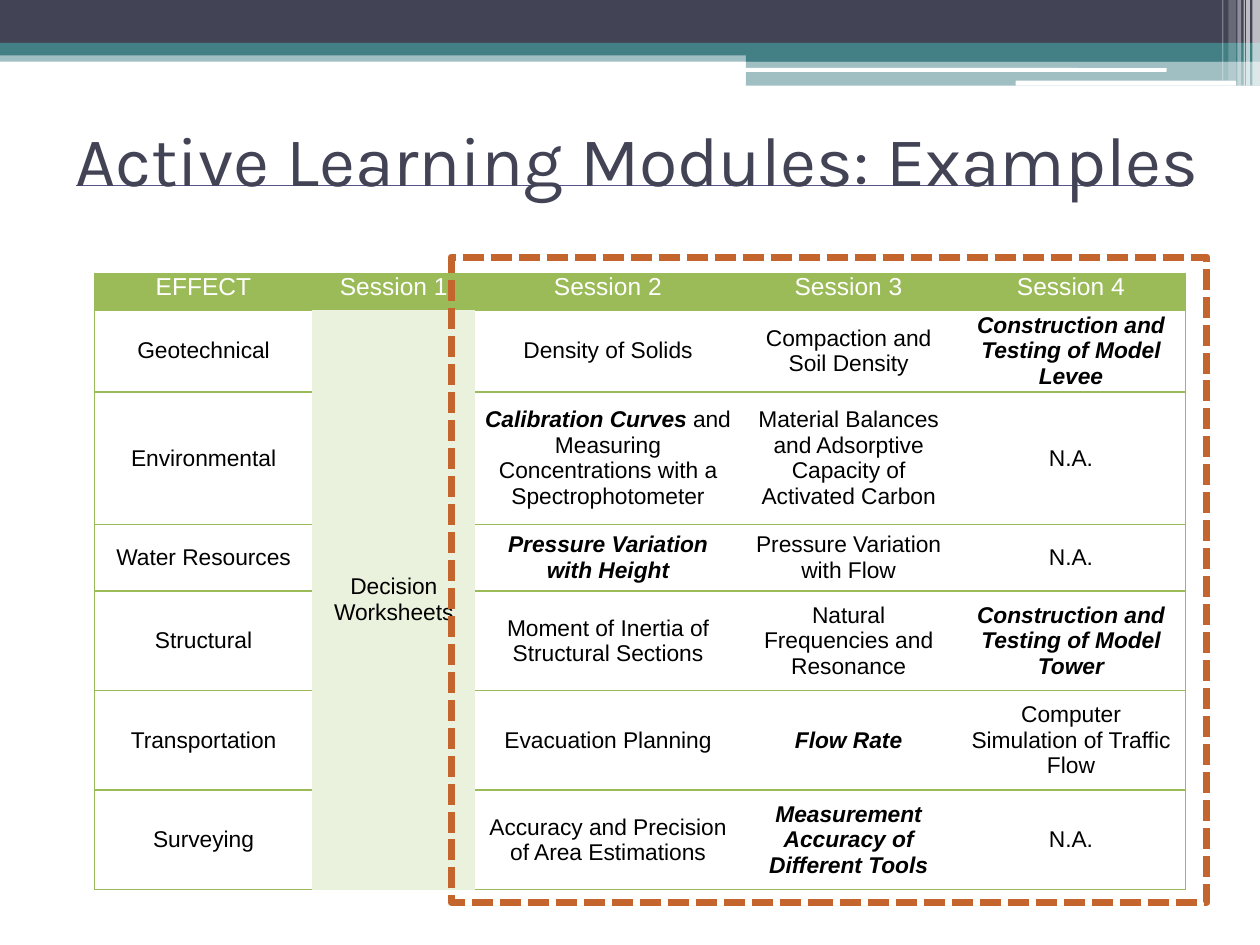
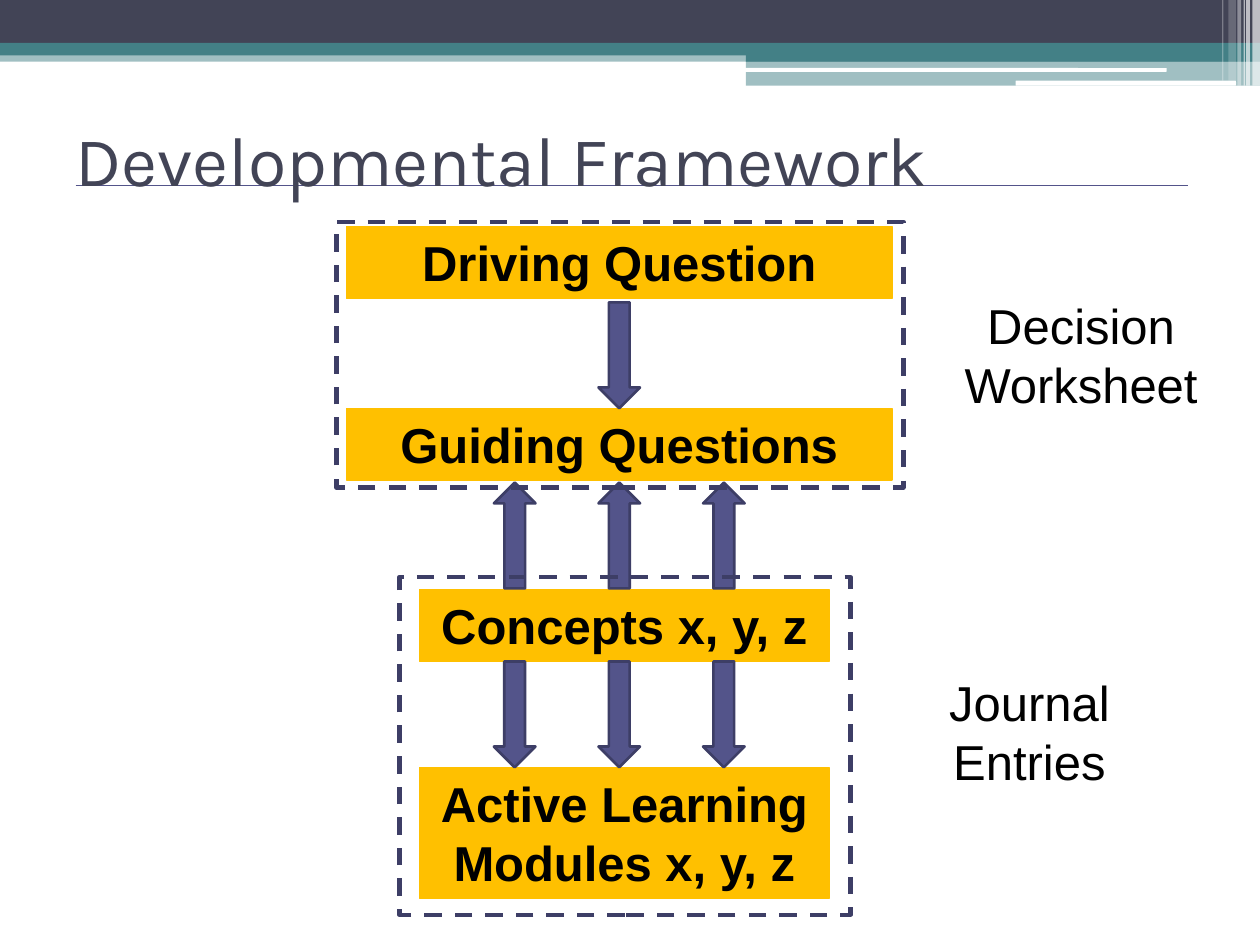
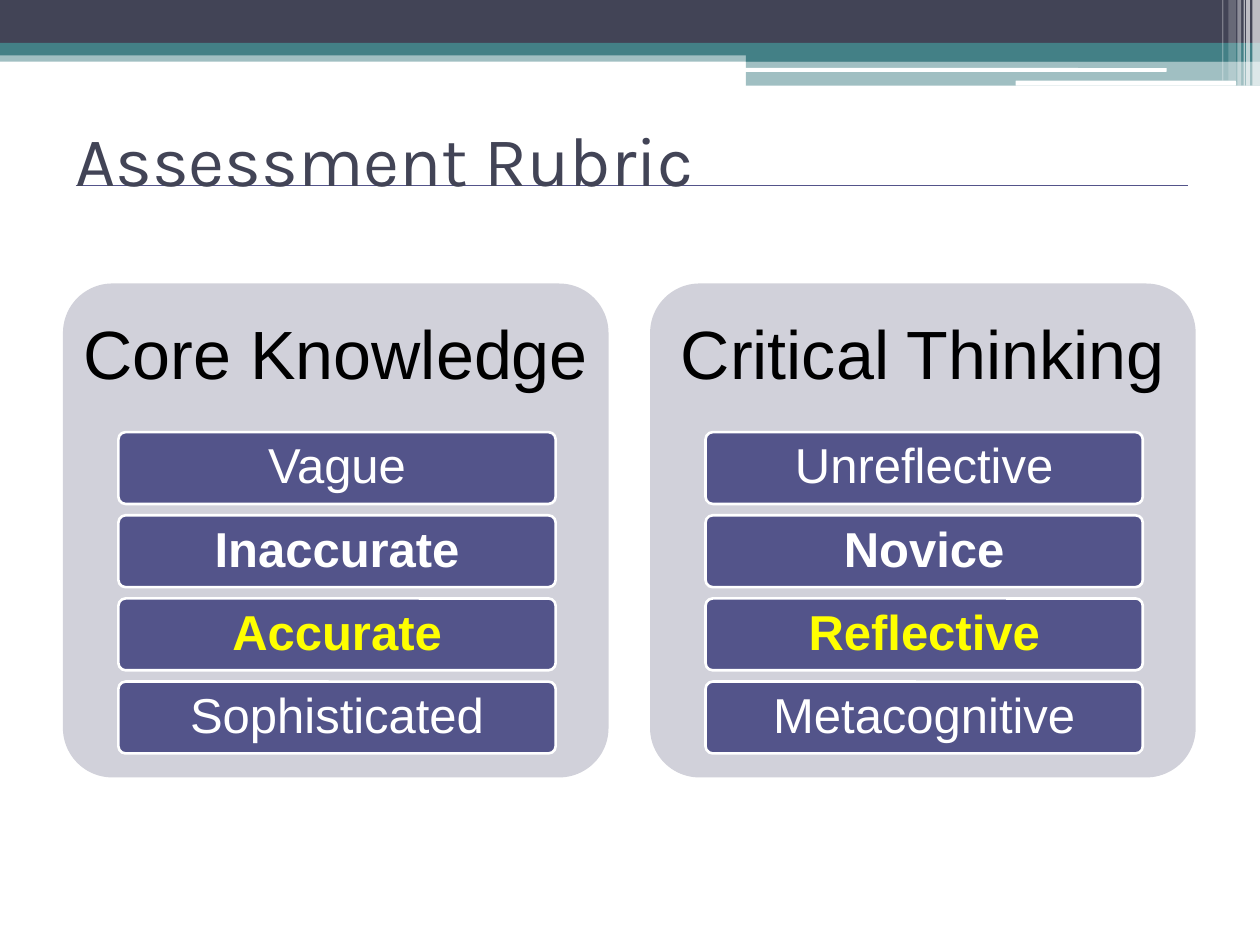
from pptx import Presentation
from pptx import util as u
from pptx.dml.color import RGBColor
from pptx.enum import dml, shapes, text
from pptx.oxml.ns import qn
from lxml import etree

WHITE = RGBColor(0xFF, 0xFF, 0xFF)
BLACK = RGBColor(0, 0, 0)
SLATE = RGBColor(0x42, 0x44, 0x56)
TEAL = RGBColor(0x43, 0x80, 0x86)
INDIGO = RGBColor(0x53, 0x54, 0x8A)
DARK_INDIGO = RGBColor(0x3D, 0x3E, 0x66)
LAVENDER = RGBColor(0xD1, 0xD1, 0xDA)
GREEN = RGBColor(0x9B, 0xBB, 0x59)
PALE_GREEN = RGBColor(0xEA, 0xF1, 0xDD)
RUST = RGBColor(0xC4, 0x65, 0x2D)
GOLD = RGBColor(0xFF, 0xC0, 0x00)
YELLOW = RGBColor(0xFF, 0xFF, 0x00)

RECT = shapes.MSO_SHAPE.RECTANGLE
ROUND = shapes.MSO_SHAPE.ROUNDED_RECTANGLE
ARROW = shapes.MSO_SHAPE.DOWN_ARROW
CENTER = text.PP_ALIGN.CENTER
MIDDLE = text.MSO_ANCHOR.MIDDLE
NO_GRID_STYLE = "{2D5ABB26-0587-4C30-8999-92F81FD0307C}"

BANDS = [
    (RECT, (0, 0.4, 10, 0.09), TEAL, 50),
    (RECT, (0, 0, 10, 0.34), SLATE, 100),
    (RECT, (0, 0.34, 10, 0.1), TEAL, 100),
    (RECT, (5.92, 0.39, 4.08, 0.1), TEAL, 100),
    (RECT, (5.92, 0.48, 4.08, 0.2), TEAL, 50),
    (ROUND, (5.91, 0.54, 3.35, 0.03), WHITE, 100),
    (ROUND, (8.06, 0.64, 1.75, 0.04), WHITE, 100),
    (RECT, (9.94, 0, 0.06, 0.68), WHITE, 65),
    (RECT, (9.89, 0, 0.03, 0.68), WHITE, 65),
    (RECT, (9.87, 0, 0.01, 0.68), WHITE, 60),
    (RECT, (9.82, 0, 0.03, 0.68), WHITE, 40),
    (RECT, (9.75, 0, 0.06, 0.64), WHITE, 20),
    (RECT, (9.7, 0, 0.01, 0.64), WHITE, 30),
]

COLUMN_WIDTHS = [1.73, 1.29, 2.11, 1.71, 1.82]
ROW_HEIGHTS = [0.29, 0.53, 1.05, 0.53, 0.79, 0.79, 0.79]
WORKSHEET_COLUMN = 1
MODULES = [
    ["EFFECT", "Session 1", "Session 2", "Session 3", "Session 4"],
    ["Geotechnical", "Decision Worksheets", "Density of Solids",
     "Compaction and Soil Density", "*Construction and Testing of Model Levee"],
    ["Environmental", "",
     "*Calibration Curves |and Measuring Concentrations with a Spectrophotometer",
     "Material Balances and Adsorptive Capacity of Activated Carbon", "N.A."],
    ["Water Resources", "", "*Pressure Variation with Height",
     "Pressure Variation with Flow", "N.A."],
    ["Structural", "", "Moment of Inertia of Structural Sections",
     "Natural Frequencies and Resonance", "*Construction and Testing of Model Tower"],
    ["Transportation", "", "Evacuation Planning", "*Flow Rate",
     "Computer Simulation of Traffic Flow"],
    ["Surveying", "", "Accuracy and Precision of Area Estimations",
     "*Measurement Accuracy of Different Tools", "N.A."],
]

RUBRIC = [
    ("Core Knowledge", ["Vague", "Inaccurate", "Accurate", "Sophisticated"]),
    ("Critical Thinking", ["Unreflective", "Novice", "Reflective", "Metacognitive"]),
]
LEVEL_FORMATS = [(WHITE, False), (WHITE, True), (YELLOW, True), (WHITE, False)]


def set_values(target, values):
    for name, value in values.items():
        setattr(target, name, value)


def inches(*lengths):
    return [u.Inches(length) for length in lengths]


def format_font(font, size, color, name="Arial", bold=False, italic=False):
    set_values(font, {"size": u.Pt(size), "name": name, "bold": bold, "italic": italic})
    font.color.rgb = color


def write_text(frame, words, size, color, align=CENTER, spacing=None, insets=None, anchor=None, **font):
    set_values(frame, {"word_wrap": True, "vertical_anchor": anchor or text.MSO_ANCHOR.TOP})
    if insets:
        sides = ("margin_left", "margin_top", "margin_right", "margin_bottom")
        set_values(frame, dict(zip(sides, inches(*insets))))
    paragraph = frame.paragraphs[0]
    set_values(paragraph, {"alignment": align, "line_spacing": spacing})
    run = paragraph.add_run()
    run.text = words
    format_font(run.font, size, color, **font)


def add_label(slide, box, words, size, color, **options):
    label = slide.shapes.add_textbox(*inches(*box))
    write_text(label.text_frame, words, size, color, **options)


def add_block(slide, kind, box, fill=None, line=None, width=0.75, dash=None, opacity=100):
    shape = slide.shapes.add_shape(kind, *inches(*box))
    shape.shadow.inherit = False
    if fill is None:
        shape.fill.background()
    else:
        shape.fill.solid()
        shape.fill.fore_color.rgb = fill
    if opacity < 100:
        color = shape.element.spPr.find(".//" + qn("a:srgbClr"))
        etree.SubElement(color, qn("a:alpha"), val=str(opacity * 1000))
    if line is None:
        shape.line.fill.background()
    else:
        shape.line.color.rgb = line
        set_values(shape.line, {"width": u.Pt(width), "dash_style": dash})
    return shape


def add_arrow(slide, left, top, rotation=0):
    arrow = add_block(slide, ARROW, (left, top, 0.33, 0.84), INDIGO, DARK_INDIGO, 1.5)
    arrow.rotation = rotation


def add_gold_box(slide, box, words):
    block = add_block(slide, RECT, box, GOLD, GOLD)
    write_text(block.text_frame, words, 28, BLACK, bold=True)


def add_rounded(slide, box, fill, line=None, width=0.75):
    block = add_block(slide, ROUND, box, fill, line, width)
    block.adjustments[0] = 0.1
    return block


def add_base_slide(presentation, title, title_width=9):
    slide = presentation.slides.add_slide(presentation.slide_layouts[6])
    for kind, box, color, opacity in BANDS:
        add_block(slide, kind, box, color, opacity=opacity)
    rule = slide.shapes.add_connector(
        shapes.MSO_CONNECTOR.STRAIGHT, *inches(0.6, 1.47, 9.43, 1.47))
    rule.line.color.rgb = INDIGO
    rule.line.width = u.Pt(0.75)
    etree.SubElement(rule.element.spPr, qn("a:effectLst"))
    add_label(slide, (0.5, 0.67, title_width, 1.17), title, 40, SLATE,
              align=text.PP_ALIGN.LEFT, anchor=MIDDLE, name="Karla")
    return slide


def add_cell_borders(cell, sides):
    properties = cell._tc.get_or_add_tcPr()
    for side in sides:
        border = etree.SubElement(properties, qn("a:ln" + side), w=str(u.Pt(1)))
        fill = etree.SubElement(border, qn("a:solidFill"))
        etree.SubElement(fill, qn("a:srgbClr"), val=str(GREEN))


def fill_cell(cell, words, row, column):
    sides = [] if column == WORKSHEET_COLUMN else ["T", "B"]
    if column == 0:
        sides.insert(0, "L")
    if column == len(COLUMN_WIDTHS) - 1:
        sides.insert(0, "R")
    add_cell_borders(cell, sides)
    fill = GREEN if row == 0 else PALE_GREEN if column == WORKSHEET_COLUMN else None
    if fill is None:
        cell.fill.background()
    else:
        cell.fill.solid()
        cell.fill.fore_color.rgb = fill
    set_values(cell, {
        "margin_left": u.Inches(0.07), "margin_right": u.Inches(0.07),
        "margin_top": 0, "margin_bottom": 0,
        "vertical_anchor": MIDDLE if row else text.MSO_ANCHOR.TOP,
    })
    paragraph = cell.text_frame.paragraphs[0]
    paragraph.alignment = CENTER
    size, color = (13, BLACK) if row else (14, WHITE)
    format_font(paragraph.font, size, color)
    for part in filter(None, words.split("|")):
        run = paragraph.add_run()
        run.text = part.lstrip("*")
        strong = part.startswith("*")
        format_font(run.font, size, color, bold=strong, italic=strong)


def add_module_table(slide):
    frame = slide.shapes.add_table(
        len(ROW_HEIGHTS), len(COLUMN_WIDTHS),
        *inches(0.75, 2.17, sum(COLUMN_WIDTHS), sum(ROW_HEIGHTS)))
    table = frame.table
    set_values(table, {"first_row": False, "horz_banding": False})
    table._tbl.tblPr.find(qn("a:tableStyleId")).text = NO_GRID_STYLE
    for column, width in zip(table.columns, COLUMN_WIDTHS):
        column.width = u.Inches(width)
    for row, height in zip(table.rows, ROW_HEIGHTS):
        row.height = u.Inches(height)
    for row, entries in enumerate(MODULES):
        for column, words in enumerate(entries):
            fill_cell(table.cell(row, column), words, row, column)
    last_row = len(ROW_HEIGHTS) - 1
    table.cell(1, WORKSHEET_COLUMN).merge(table.cell(last_row, WORKSHEET_COLUMN))


def build_examples(presentation):
    slide = add_base_slide(presentation, "Active Learning Modules: Examples", 9.25)
    add_module_table(slide)
    add_block(slide, RECT, (3.58, 2.04, 6, 5.12), line=RUST, width=4,
              dash=dml.MSO_LINE.SQUARE_DOT)


def build_framework(presentation):
    slide = add_base_slide(presentation, "Developmental Framework")
    add_gold_box(slide, (3.33, 4.68, 3.25, 0.57), "Concepts x, y, z")
    add_gold_box(slide, (3.33, 6.09, 3.25, 1.04), "Active Learning Modules x, y, z")
    for left in (3.92, 4.75, 5.58):
        add_arrow(slide, left, 5.25)
        add_arrow(slide, left, 3.83, 180)
    add_gold_box(slide, (2.75, 3.24, 4.33, 0.57), "Guiding Questions")
    add_arrow(slide, 4.75, 2.4)
    add_gold_box(slide, (2.75, 1.8, 4.33, 0.57), "Driving Question")
    stages = [
        ((2.67, 1.76, 4.5, 2.11), (7.33, 2.3, 2.5, 1.04), "Decision Worksheet"),
        ((3.17, 4.58, 3.58, 2.68), (6.92, 5.29, 2.5, 1.04), "Journal Entries"),
    ]
    for outline, label, words in stages:
        add_block(slide, RECT, outline, line=DARK_INDIGO, width=2.5, dash=dml.MSO_LINE.DASH)
        add_label(slide, label, words, 28, BLACK)


def add_rubric_card(slide, left, heading, levels):
    add_rounded(slide, (left, 2.25, 4.33, 3.92), LAVENDER)
    add_label(slide, (left, 2.25, 4.33, 1.18), heading, 39, BLACK,
              spacing=0.9, insets=[0.16] * 4, anchor=MIDDLE)
    for index, (level, (color, bold)) in enumerate(zip(levels, LEVEL_FORMATS)):
        bar = add_rounded(slide, (left + 0.44, 3.43 + 0.66 * index, 3.47, 0.57),
                          INDIGO, WHITE, 1.5)
        write_text(bar.text_frame, level, 28, color, spacing=0.9,
                   insets=(0.08, 0.06, 0.08, 0.06), anchor=MIDDLE, bold=bold)


def build_rubric(presentation):
    slide = add_base_slide(presentation, "Assessment Rubric")
    for index, (heading, levels) in enumerate(RUBRIC):
        add_rubric_card(slide, 0.5 + 4.66 * index, heading, levels)


def main():
    presentation = Presentation()
    set_values(presentation, {"slide_width": u.Inches(10), "slide_height": u.Inches(7.5)})
    build_examples(presentation)
    build_framework(presentation)
    build_rubric(presentation)
    presentation.save("out.pptx")


if __name__ == "__main__":
    main()
